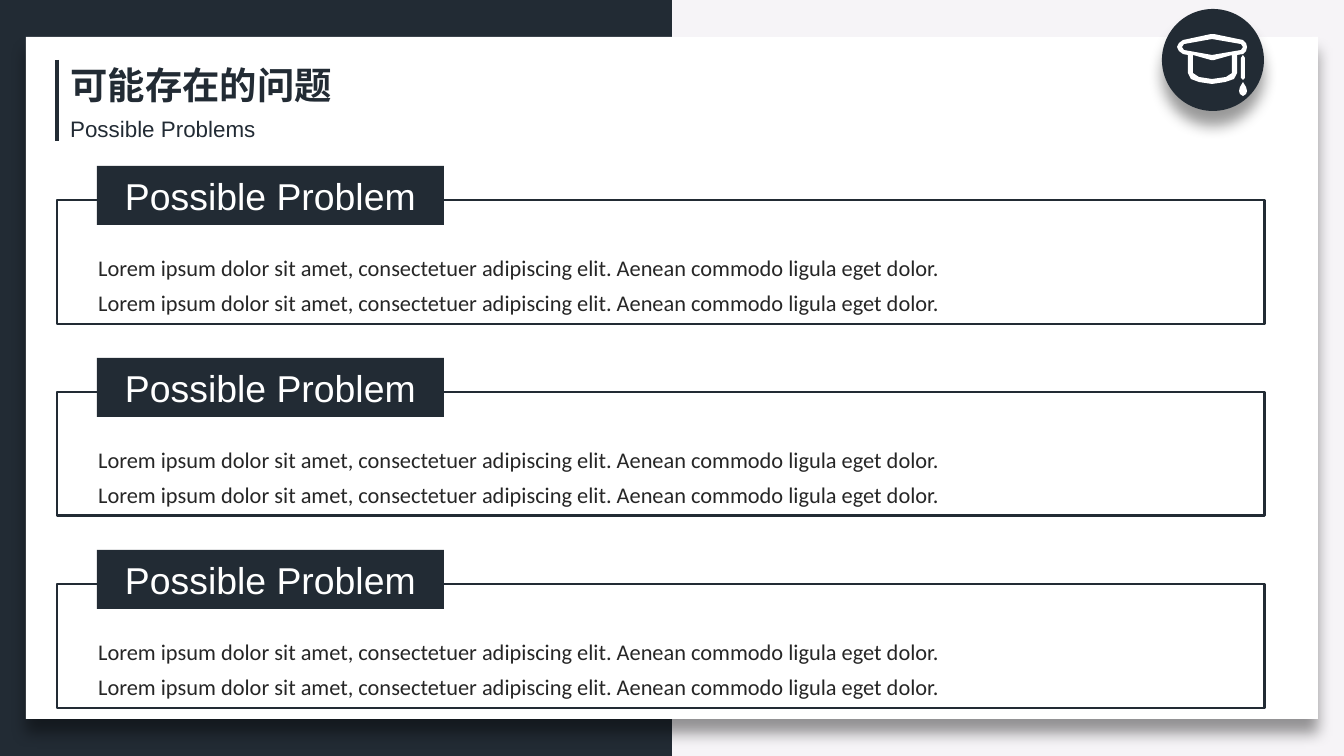
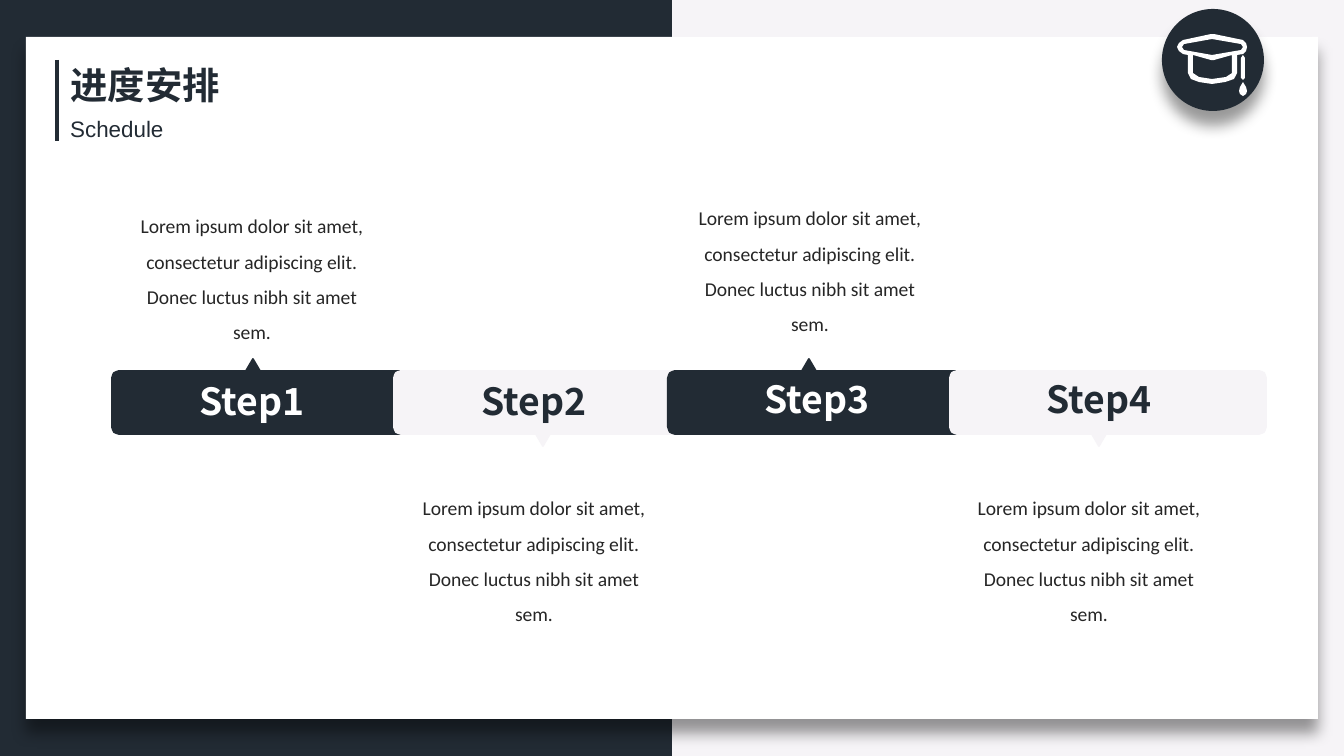
import math

import pptx
import pptx.dml.color
import pptx.enum.shapes
import pptx.enum.text
import pptx.oxml
import pptx.oxml.ns
import pptx.util

PX = 9144000 / 1344
SHAPE = pptx.enum.shapes.MSO_SHAPE
ALIGN = pptx.enum.text.PP_ALIGN
ANCHOR = pptx.enum.text.MSO_ANCHOR

NAVY, MIST, WHITE, INK = "222B34", "F6F4F7", "FFFFFF", "262626"
HEADING_FONT, LABEL_FONT, BODY_FONT = "Noto Sans CJK SC", "Arial", "Calibri"

# Content
SENTENCE = ("Lorem ipsum dolor sit amet, consectetuer adipiscing elit. "
            "Aenean commodo ligula eget dolor.")
PROBLEMS_HEADING = ("可能存在的问题", 292, "Possible Problems", 214)
PROBLEMS = [("Possible Problem", f"{SENTENCE} {SENTENCE}")] * 3

STEP_TEXT = ("Lorem ipsum dolor sit amet, consectetur adipiscing elit. "
             "Donec luctus nibh sit amet sem.")
SCHEDULE_HEADING = ("进度安排", 177, "Schedule", 121)
# name, bar left, name position, text position
STEPS = [
    ("Step1", 112, (186, 372), (125, 196)),
    ("Step2", 394, (468, 372), (407, 478)),
    ("Step3", 668, (751, 370), (683, 188)),
    ("Step4", 950, (1033, 370), (962, 478)),
]

# Graduation cap: outer edge, board opening, cup opening
CAP = [
    [(1247, 47), (1246, 43), (1243, 40), (1214, 34), (1211, 34), (1183, 40),
     (1179, 43), (1177, 47), (1179, 51), (1183, 54), (1188, 55), (1188, 73),
     (1191, 79), (1199, 82), (1212, 84), (1225, 82), (1234, 79), (1237, 73),
     (1237, 55), (1243, 54), (1246, 51)],
    [(1212, 55), (1184, 50), (1182, 47), (1184, 44), (1212, 39),
     (1241, 44), (1243, 47), (1241, 50)],
    [(1232, 73), (1226, 77), (1212, 79), (1199, 77), (1193, 73),
     (1193, 55), (1211, 60), (1214, 60), (1232, 55)],
]
TASSEL = [[(1241, 58), (1243, 55), (1245, 58), (1245, 78), (1243, 80), (1241, 78)]]
TASSEL_DROP = [[(1243, 82), (1240, 87), (1239, 91), (1240, 94), (1243, 96),
                (1246, 94), (1247, 91), (1246, 87)]]


# Helpers
def emu(*lengths):
    return [round(length * PX) for length in lengths]


def rgb(color):
    return pptx.dml.color.RGBColor.from_string(color)


def paint(shape, fill=None, line=None, width=1):
    shape.shadow.inherit = False
    if fill:
        shape.fill.solid()
        shape.fill.fore_color.rgb = rgb(fill)
    else:
        shape.fill.background()
    if line:
        shape.line.color.rgb = rgb(line)
        shape.line.width = pptx.util.Pt(width)
    else:
        shape.line.fill.background()
    return shape


def add_block(slide, box, kind=SHAPE.RECTANGLE, **look):
    return paint(slide.shapes.add_shape(kind, *emu(*box)), **look)


def add_outline(slide, contours, **look):
    first, *openings = contours
    builder = slide.shapes.build_freeform(*first[0], scale=PX)
    builder.add_line_segments(first[1:])
    for opening in openings:
        builder.move_to(*opening[0])
        builder.add_line_segments(opening[1:])
    return paint(builder.convert_to_shape(), **look)


def drop_shadow(shape):
    effects = shape.element.spPr.find(pptx.oxml.ns.qn("a:effectLst"))
    effects.append(pptx.oxml.parse_xml(
        f'<a:outerShdw {pptx.oxml.ns.nsdecls("a")} blurRad="101600" dist="101600" '
        'dir="5400000" algn="t" rotWithShape="0"><a:srgbClr val="000000">'
        '<a:alpha val="40000"/></a:srgbClr></a:outerShdw>'))


def write(shape, text, size, font, color, bold=False, align=ALIGN.LEFT,
          anchor=ANCHOR.TOP, wrap=True, spacing=None, before=None):
    frame = shape.text_frame
    frame.word_wrap = wrap
    frame.auto_size = pptx.enum.text.MSO_AUTO_SIZE.SHAPE_TO_FIT_TEXT
    frame.vertical_anchor = anchor
    paragraph = frame.paragraphs[0]
    paragraph.alignment = align
    paragraph.line_spacing = spacing
    if before is not None:
        paragraph.space_before = pptx.util.Pt(before)
    run = paragraph.add_run()
    run.text = text
    run.font.size = pptx.util.Pt(size)
    run.font.name = font
    run.font.bold = bold
    run.font.color.rgb = rgb(color)
    east_asian = pptx.oxml.parse_xml(
        f'<a:ea {pptx.oxml.ns.nsdecls("a")} typeface="{font}"/>')
    run.font._element.find(pptx.oxml.ns.qn("a:latin")).addnext(east_asian)


def add_text(slide, box, text, **style):
    write(slide.shapes.add_textbox(*emu(*box)), text, **style)


# Shared frame, drawn once and kept in the layout
def build_frame(slide, layout):
    half = add_block(slide, (0, 0, 672, 756), fill=NAVY)
    card = add_block(slide, (26, 37, 1292, 682), fill=WHITE)
    rule = slide.shapes.add_connector(
        pptx.enum.shapes.MSO_CONNECTOR.STRAIGHT, *emu(57, 60, 57, 141))
    rule.line.color.rgb = rgb(NAVY)
    rule.line.width = pptx.util.Pt(2.25)
    rule.element.spPr.append(
        pptx.oxml.parse_xml(f'<a:effectLst {pptx.oxml.ns.nsdecls("a")}/>'))
    badge = add_block(slide, (1162, 9, 102, 102), SHAPE.OVAL, fill=NAVY)
    drop_shadow(card)
    drop_shadow(badge)
    icon = [add_outline(slide, part, fill=WHITE) for part in (CAP, TASSEL, TASSEL_DROP)]
    for part in [half, card, rule, badge, *icon]:
        layout.shapes.element.append(part.element)


def add_heading(slide, heading, heading_width, subtitle, subtitle_width):
    title = slide.shapes.title
    title.left, title.top, title.width, title.height = emu(57, 55, heading_width, 59)
    write(title, heading, size=20, font=HEADING_FONT, color=NAVY, bold=True, wrap=False)
    add_text(slide, (57, 109, subtitle_width, 40), subtitle,
             size=12, font=LABEL_FONT, color=NAVY, wrap=False)


# Slide 1: stacked problem boxes
def build_problems(slide):
    add_heading(slide, *PROBLEMS_HEADING)
    for row, (label, body) in enumerate(PROBLEMS):
        top = 200 + 192 * row
        add_text(slide, (85, top + 40, 930, 85), body, size=12, font=BODY_FONT,
                 color=INK, spacing=1.3, before=6)
        add_block(slide, (57, top, 1208, 124), line=NAVY, width=1.5)
        tab = add_block(slide, (97, top - 34, 347, 59), fill=NAVY)
        write(tab, label, size=20, font=LABEL_FONT, color=WHITE,
              align=ALIGN.CENTER, anchor=ANCHOR.MIDDLE)


# Slide 2: row of step bars with pointers
def step_bar(left, points_up, top=371, width=316, height=63, radius=7):
    right, bottom = left + width, top + height

    def corner(x, y, start):
        angles = [math.radians(start + 22.5 * step) for step in range(5)]
        return [(x + radius * math.cos(a), y + radius * math.sin(a)) for a in angles]

    tip = left + (141 if points_up else 149)
    above = [(tip - 7, top), (tip, top - 12), (tip + 7, top)] if points_up else []
    below = [] if points_up else [(tip + 7, bottom), (tip, bottom + 12), (tip - 7, bottom)]
    return (corner(left + radius, top + radius, 180) + above
            + corner(right - radius, top + radius, 270)
            + corner(right - radius, bottom - radius, 0) + below
            + corner(left + radius, bottom - radius, 90))


def build_schedule(slide):
    add_heading(slide, *SCHEDULE_HEADING)
    for index, (name, left, name_at, text_at) in enumerate(STEPS):
        points_up = index % 2 == 0
        color = NAVY if points_up else MIST
        add_outline(slide, [step_bar(left, points_up)], fill=color, line=color)
    for index, (name, left, name_at, text_at) in enumerate(STEPS):
        add_text(slide, (*name_at, 134, 59), name, size=20, font=HEADING_FONT,
                 color=NAVY if index % 2 else WHITE, bold=True, wrap=False)
        add_text(slide, (*text_at, 254, 156), STEP_TEXT, size=10.5, font=BODY_FONT,
                 color=INK, align=ALIGN.CENTER, spacing=1.5)


def main():
    deck = pptx.Presentation()
    deck.slide_width, deck.slide_height = emu(1344, 756)
    background = deck.slide_master.background.fill
    background.solid()
    background.fore_color.rgb = rgb(MIST)

    layout = deck.slide_layouts.get_by_name("Title Only")
    for holder in list(layout.placeholders)[1:]:
        layout.shapes.element.remove(holder.element)

    problems = deck.slides.add_slide(layout)
    build_frame(problems, layout)
    build_problems(problems)
    build_schedule(deck.slides.add_slide(layout))
    deck.save("out.pptx")


if __name__ == "__main__":
    main()
